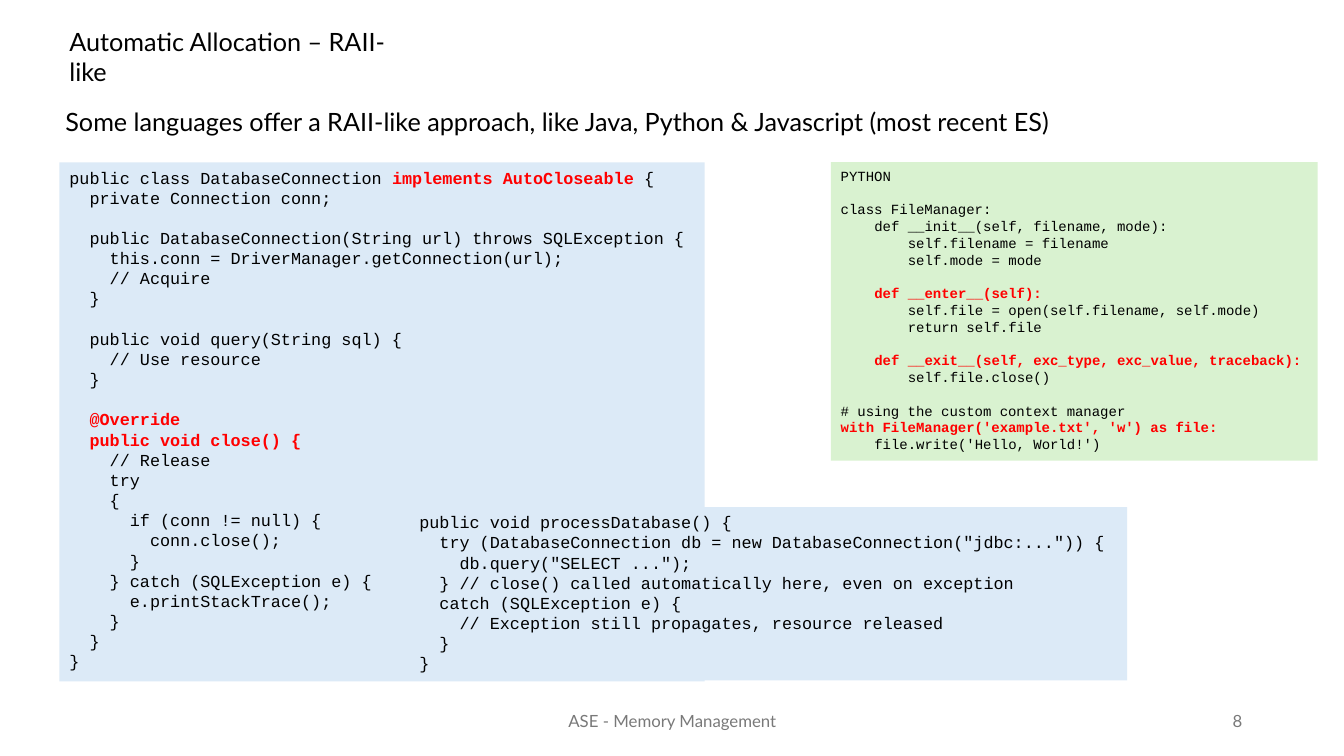
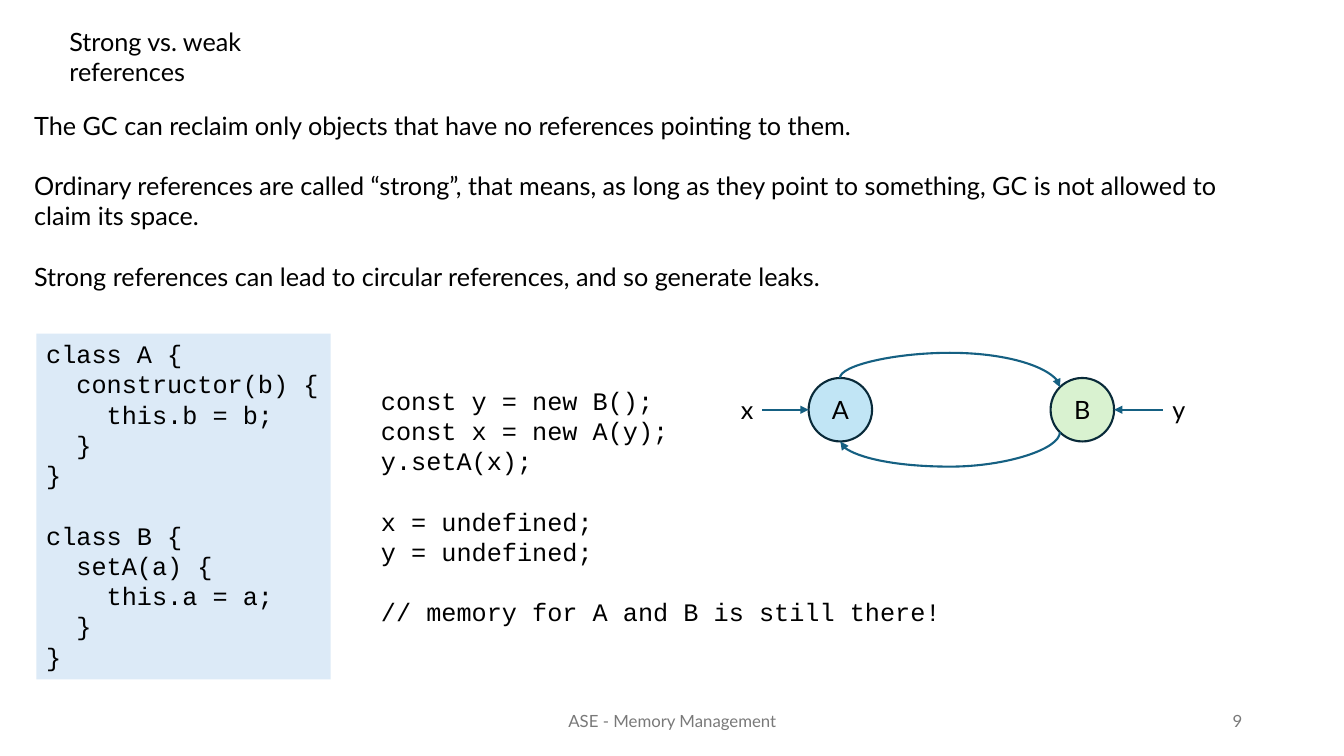
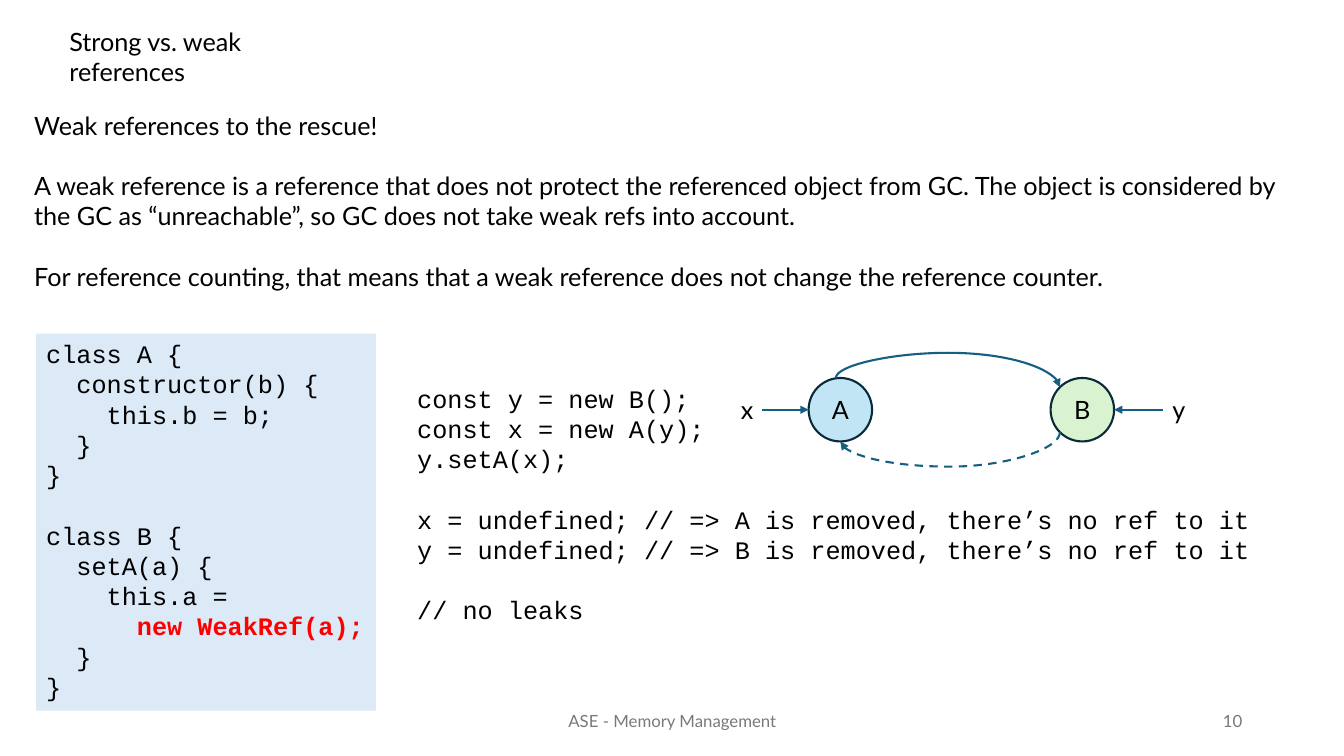
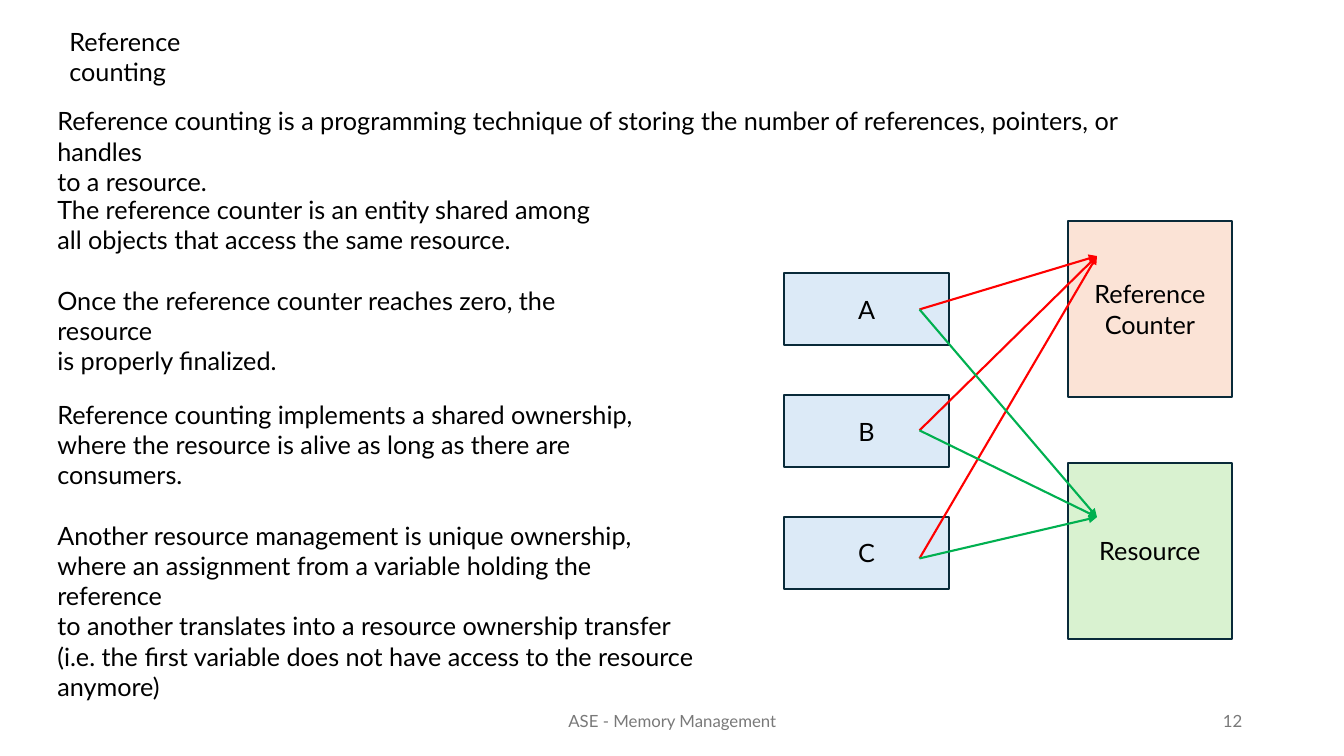
import math

import lxml.etree
import pptx
import pptx.dml.color
import pptx.enum.dml
import pptx.enum.shapes
import pptx.enum.text
import pptx.oxml.ns
import pptx.util

Inches = pptx.util.Inches
Pt = pptx.util.Pt
RGBColor = pptx.dml.color.RGBColor
Shape = pptx.enum.shapes.MSO_SHAPE
Connector = pptx.enum.shapes.MSO_CONNECTOR
Align = pptx.enum.text.PP_ALIGN
Anchor = pptx.enum.text.MSO_ANCHOR
qn = pptx.oxml.ns.qn

# Shared style
BLACK = RGBColor(0x00, 0x00, 0x00)
GREY = RGBColor(0x79, 0x79, 0x79)
RED = RGBColor(0xFF, 0x00, 0x00)
GREEN = RGBColor(0x00, 0xB0, 0x50)
TEAL = RGBColor(0x15, 0x60, 0x82)
OUTLINE = RGBColor(0x09, 0x2A, 0x39)
PALE_BLUE = RGBColor(0xDC, 0xEA, 0xF7)
SKY = RGBColor(0xC1, 0xE5, 0xF5)
PALE_GREEN = RGBColor(0xD9, 0xF2, 0xD0)
PEACH = RGBColor(0xFB, 0xE3, 0xD6)
BODY_FONT, CODE_FONT = "Lato", "Courier New"
LINE_HEIGHT = 1.2
CODE_CHARACTER_WIDTH = 0.6
FOOTER = "ASE - Memory Management"

# Content: ** encloses emphasis, an empty line is a gap
RAII_INTRO = ("Some languages offer a RAII-like approach, like Java, Python & "
              "Javascript (most recent ES)")

JAVA_CLASS = """\
public class DatabaseConnection **implements AutoCloseable **{
  private Connection conn;

  public DatabaseConnection(String url) throws SQLException {
    this.conn = DriverManager.getConnection(url);
    // Acquire
  }

  public void query(String sql) {
    // Use resource
  }

  **@Override**
  **public void close() {**
    // Release
    try
    {
      if (conn != null) {
        conn.close();
      }
    } catch (SQLException e) {
      e.printStackTrace();
    }
  }
}"""

JAVA_USE = """\
public void processDatabase() {
  try (DatabaseConnection db = new DatabaseConnection("jdbc:...")) {
    db.query("SELECT ...");
  } // close() called automatically here, even on exception
  catch (SQLException e) {
    // Exception still propagates, resource released
  }
}"""

PYTHON_CLASS = """\
PYTHON

class FileManager:
    def __init__(self, filename, mode):
        self.filename = filename
        self.mode = mode

    **def __enter__(self):**
        self.file = open(self.filename, self.mode)
        return self.file

    **def __exit__(self, exc_type, exc_value, traceback):**
        self.file.close()

# using the custom context manager
**with FileManager('example.txt', 'w') as file:**
    file.write('Hello, World!')"""

CLASSES_START = """\
class A {
  constructor(b) {
    this.b = b;
  }
}

class B {
  setA(a) {
    this.a = """
CLASSES_END = """
  }
}"""
CREATE_OBJECTS = """\
const y = new B();
const x = new A(y);
y.setA(x);

"""

REFERENCE_SLIDES = [
    {
        "number": 9,
        "body": """\
The GC can reclaim only objects that have no references pointing to them.

Ordinary references are called “strong”, that means, as long as they point to something, \
GC is not allowed to claim its space.

Strong references can lead to circular references, and so generate leaks.""",
        "classes": CLASSES_START + "a;" + CLASSES_END,
        "classes_box": (0.36, 3.31, 2.92, 3.43),
        "usage": CREATE_OBJECTS + """\
x = undefined;
y = undefined;

// memory for A and B is still there!""",
        "usage_box": (3.68, 3.77, 5.9, 2.52),
        "curve_start": 8.33,
        "weak": False,
    },
    {
        "number": 10,
        "body": """\
Weak references to the rescue!

A weak reference is a reference that does not protect the referenced object from GC. \
The object is considered by the GC as “unreachable”, so GC does not take weak refs into account.

For reference counting, that means that a weak reference does not change the reference counter.""",
        "classes": CLASSES_START.rstrip() + "\n      **new WeakRef(a);**" + CLASSES_END,
        "classes_box": (0.36, 3.31, 3.37, 3.74),
        "usage": CREATE_OBJECTS + """\
x = undefined; // => A is removed, there’s no ref to it
y = undefined; // => B is removed, there’s no ref to it

// no leaks""",
        "usage_box": (4.04, 3.75, 8.6, 2.52),
        "curve_start": 8.29,
        "weak": True,
    },
]

COUNTING_TEXTS = [
    ((0.47, 1, 11.5, 0.71), """\
Reference counting is a programming technique of storing the number of references, pointers, or handles
to a resource."""),
    ((0.47, 1.88, 6.05, 1.62), """\
The reference counter is an entity shared among
all objects that access the same resource.

Once the reference counter reaches zero, the resource
is properly finalized."""),
    ((0.47, 3.91, 6.55, 2.52), """\
Reference counting implements a shared ownership,
where the resource is alive as long as there are consumers.

Another resource management is unique ownership,
where an assignment from a variable holding the reference
to another translates into a resource ownership transfer
(i.e. the first variable does not have access to the resource
anymore)"""),
]
# Label, fill, top of the box, height of the arrowheads, arrow colour
TARGETS = [("Reference\nCounter", PEACH, 2.19, 2.54, RED),
           ("Resource", PALE_GREEN, 4.59, 5.13, GREEN)]
CONSUMERS = [("A", 3.07), ("B", 4.27), ("C", 5.54)]


def write(shape, text, font=BODY_FONT, size=18, color=BLACK,
          align=Align.LEFT, anchor=Anchor.TOP):
    """Fill a shape with one paragraph per line of text."""
    frame = shape.text_frame
    frame.word_wrap = True
    frame.vertical_anchor = anchor
    paragraph, gap = None, 0
    for line in text.split("\n"):
        if not line:
            gap += LINE_HEIGHT * size
            continue
        paragraph = frame.add_paragraph() if paragraph else frame.paragraphs[0]
        paragraph.alignment = align
        paragraph.line_spacing = Pt(LINE_HEIGHT * size)
        paragraph.space_before = Pt(gap)
        gap = 0
        content = line.lstrip()
        indent = (len(line) - len(content)) * CODE_CHARACTER_WIDTH * size
        if indent:
            paragraph._p.get_or_add_pPr().set("marL", str(int(Pt(indent))))
        for index, part in enumerate(content.split("**")):
            if part:
                run = paragraph.add_run()
                run.text = part
                run.font.name, run.font.size = font, Pt(size)
                run.font.bold = index % 2 == 1
                run.font.color.rgb = RED if index % 2 else color
    return shape


def add_text(slide, text, box, **text_format):
    return write(slide.shapes.add_textbox(*map(Inches, box)), text, **text_format)


def add_box(slide, text, box, fill, kind=Shape.RECTANGLE, outline=None, **text_format):
    shape = slide.shapes.add_shape(kind, *map(Inches, box))
    shape.shadow.inherit = False
    shape.fill.solid()
    shape.fill.fore_color.rgb = fill
    if outline is None:
        shape.line.fill.background()
    else:
        shape.line.color.rgb = outline
        shape.line.width = Pt(1.5)
    return write(shape, text, **text_format)


def add_node(slide, label, box, fill, kind=Shape.RECTANGLE):
    return add_box(slide, label, box, fill, kind, OUTLINE,
                   align=Align.CENTER, anchor=Anchor.MIDDLE)


def add_arrow(slide, start, end, color=TEAL, kind=Connector.STRAIGHT):
    arrow = slide.shapes.add_connector(kind, *map(Inches, start + end))
    arrow.line.color.rgb = color
    arrow.line.width = Pt(1.5)
    lxml.etree.SubElement(arrow.line._get_or_add_ln(), qn("a:tailEnd"), type="triangle")
    lxml.etree.SubElement(arrow._element.spPr, qn("a:effectLst"))
    return arrow


def add_curve(slide, start, end, bend, rotation, flip=False):
    """Curve between two points; bend is the turning point as a share of its rise."""
    across, rise = abs(end[0] - start[0]), abs(end[1] - start[1])
    left = (start[0] + end[0] - rise) / 2
    top = (start[1] + end[1] - across) / 2
    curve = add_arrow(slide, (left, top), (left + rise, top + across), kind=Connector.CURVE)
    properties = curve._element.spPr
    transform = properties.find(qn("a:xfrm"))
    transform.set("rot", str(rotation * 60000))
    if flip:
        transform.set("flipH", "1")
    geometry = properties.find(qn("a:prstGeom"))
    adjustments = geometry.find(qn("a:avLst"))
    if adjustments is None:
        adjustments = lxml.etree.SubElement(geometry, qn("a:avLst"))
    lxml.etree.SubElement(adjustments, qn("a:gd"), name="adj1",
                          fmla=f"val {round(bend * 100000)}")
    return curve


def add_slide(presentation, title, title_width, number):
    slide = presentation.slides.add_slide(presentation.slide_layouts[6])
    small = {"size": 12, "color": GREY, "anchor": Anchor.MIDDLE}
    add_text(slide, FOOTER, (4.42, 6.95, 4.5, 0.4), align=Align.CENTER, **small)
    add_text(slide, str(number), (9.42, 6.95, 3, 0.4), align=Align.RIGHT, **small)
    add_text(slide, title, (0.59, 0.21, title_width, 0.4))
    return slide


def draw_cycle(slide, curve_start, weak):
    """Objects A and B that refer to each other, held by x and y."""
    diameter, top, left_a, left_b, bulge = 0.63, 3.75, 8.02, 10.42, 0.25
    middle, bottom = top + diameter / 2, top + diameter
    for label, left, fill in (("A", left_a, SKY), ("B", left_b, PALE_GREEN)):
        add_node(slide, label, (left, top, diameter, diameter), fill, Shape.OVAL)

    # Curves meet B on its diagonals
    inset = diameter / 2 * (1 - math.sqrt(0.5))
    diagonal = left_b + inset
    add_curve(slide, (curve_start, top), (diagonal, top + inset),
              -bulge / inset, 270, flip=True)
    back = add_curve(slide, (diagonal, bottom - inset), (left_a + diameter / 2, bottom),
                     1 + bulge / inset, 90)
    if weak:
        back.line.dash_style = pptx.enum.dml.MSO_LINE.DASH

    # Variables: label, left, side the arrow leaves from, where it ends
    for label, left, side, end in (("x", 7.25, 3, left_a),
                                   ("y", 11.53, 1, left_b + diameter)):
        variable = add_text(slide, label, (left, middle - 0.2, 0.31, 0.4))
        arrow = add_arrow(slide, (left, middle), (end, middle))
        arrow.begin_connect(variable, side)


def build_raii(presentation):
    slide = add_slide(presentation, "Automatic Allocation – RAII-like", 3.5, 8)
    add_text(slide, RAII_INTRO, (0.55, 1.01, 12.52, 0.4))
    for code, box, fill, size in (
            (JAVA_CLASS, (0.59, 1.61, 6.4, 5.15), PALE_BLUE, 12),
            (JAVA_USE, (4.06, 5.03, 7.12, 1.72), PALE_BLUE, 12),
            (PYTHON_CLASS, (8.24, 1.61, 4.83, 2.96), PALE_GREEN, 10)):
        add_box(slide, code, box, fill, font=CODE_FONT, size=size)


def build_references(presentation, content):
    slide = add_slide(presentation, "Strong vs. weak references", 3, content["number"])
    add_text(slide, content["body"], (0.24, 1.04, 12.52, 1.92))
    draw_cycle(slide, content["curve_start"], content["weak"])
    add_box(slide, content["classes"], content["classes_box"], PALE_BLUE, font=CODE_FONT)
    add_text(slide, content["usage"], content["usage_box"], font=CODE_FONT)


def build_counting(presentation):
    slide = add_slide(presentation, "Reference counting", 2.3, 12)
    for box, text in COUNTING_TEXTS:
        add_text(slide, text, box)
    for label, fill, top, _, _ in TARGETS:
        add_node(slide, label, (10.59, top, 1.63, 1.75), fill)
    for row, (label, _) in enumerate(CONSUMERS):
        add_node(slide, label, (7.78, 2.71 + 1.21 * row, 1.63, 0.71), PALE_BLUE)
    for _, _, _, end, color in TARGETS:
        for _, start in CONSUMERS:
            add_arrow(slide, (9.12, start), (10.88, end), color)


def main():
    presentation = pptx.Presentation()
    presentation.slide_width, presentation.slide_height = Inches(13.33), Inches(7.5)
    build_raii(presentation)
    for content in REFERENCE_SLIDES:
        build_references(presentation, content)
    build_counting(presentation)
    presentation.save("out.pptx")


if __name__ == "__main__":
    main()
